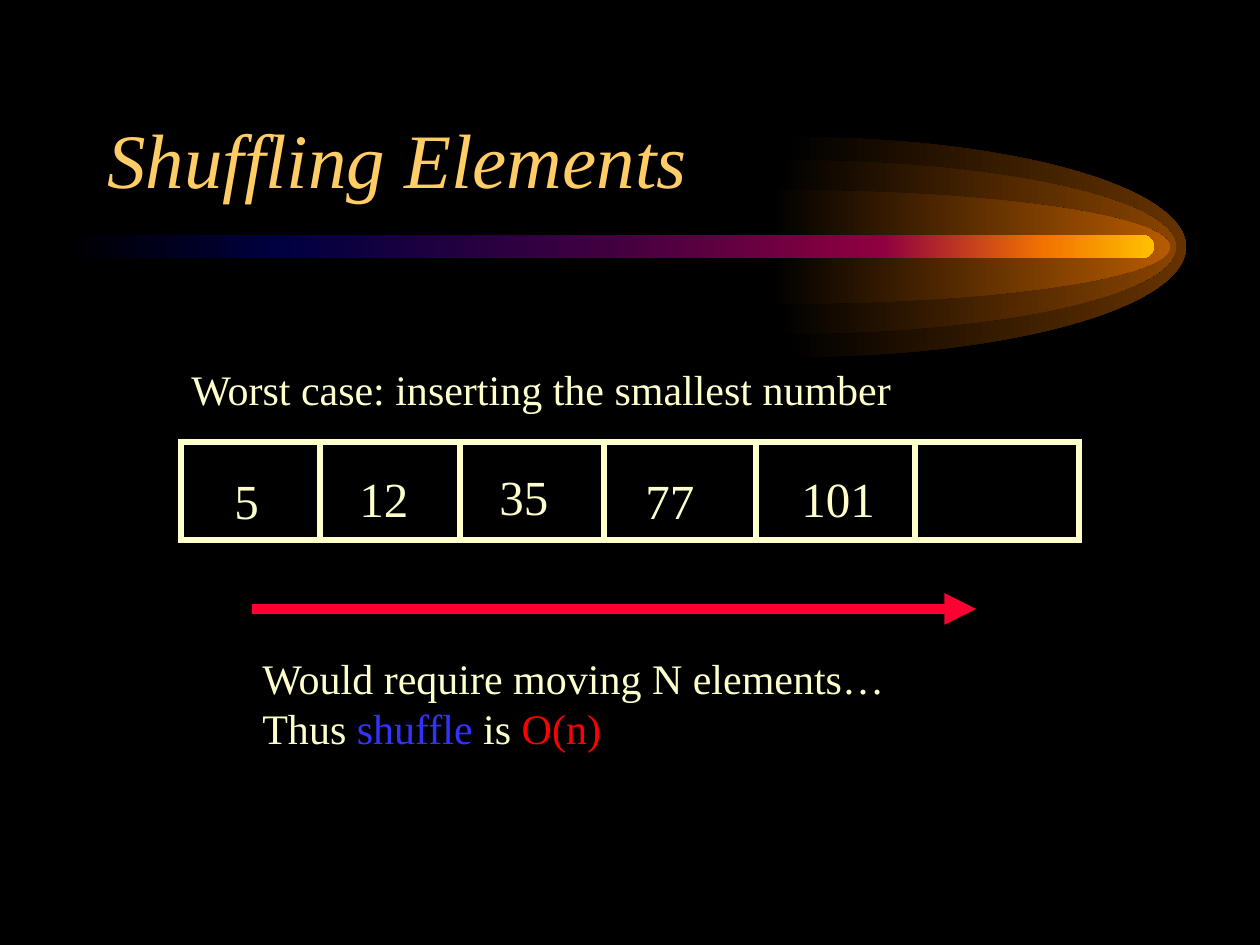
from lxml import etree
from pptx import Presentation
from pptx.dml.color import RGBColor
from pptx.enum.shapes import MSO_CONNECTOR, MSO_SHAPE
from pptx.enum.text import MSO_ANCHOR, MSO_AUTO_SIZE
from pptx.oxml.ns import qn
from pptx.util import Emu, Pt

PX = 914400 / 126
STRAIGHT = MSO_CONNECTOR.STRAIGHT
RECT, ROUND = MSO_SHAPE.RECTANGLE, MSO_SHAPE.ROUNDED_RECTANGLE
TOP, BOTTOM = MSO_ANCHOR.TOP, MSO_ANCHOR.BOTTOM
FIT, NO_FIT = MSO_AUTO_SIZE.SHAPE_TO_FIT_TEXT, MSO_AUTO_SIZE.NONE
BLACK = RGBColor(0x00, 0x00, 0x00)
CREAM = RGBColor(0xFF, 0xFF, 0xCC)
GOLD = RGBColor(0xFF, 0xCC, 0x66)
CRIMSON = RGBColor(0xFF, 0x00, 0x33)
BLUE = RGBColor(0x33, 0x33, 0xFF)
RED = RGBColor(0xFF, 0x00, 0x00)
GLOWS = [
    (786, 110, RGBColor(0x66, 0x33, 0x00)),
    (776, 87, RGBColor(0x89, 0x44, 0x00)),
    (770, 57, RGBColor(0xB7, 0x5B, 0x00)),
]
BAR_STOPS = [
    (0, BLACK),
    (20, RGBColor(0x00, 0x00, 0x40)),
    (50, RGBColor(0x40, 0x00, 0x40)),
    (75, RGBColor(0x8F, 0x00, 0x40)),
    (90, RGBColor(0xF2, 0x73, 0x00)),
    (100, RGBColor(0xFF, 0xBF, 0x00)),
]
ARC = [(0.55, -1), (1, -0.55), (1, 0), (1, 0.55), (0.55, 1), (0, 1)]

prs = Presentation()
prs.slide_width, prs.slide_height = Emu(round(1260 * PX)), Emu(round(945 * PX))
s = prs.slides.add_slide(prs.slide_layouts[6])
s.background.fill.solid()
s.background.fill.fore_color.rgb = BLACK


def px(*lengths):
    return [Emu(round(v * PX)) for v in lengths]


def add_text(box, paragraphs, size, anchor=TOP, fit=FIT, wrap=False, italic=False):
    tf = s.shapes.add_textbox(*px(*box)).text_frame
    frame = {"word_wrap": wrap, "auto_size": fit, "vertical_anchor": anchor}
    for name, value in frame.items():
        setattr(tf, name, value)
    for i, runs in enumerate(paragraphs):
        p = tf.add_paragraph() if i else tf.paragraphs[0]
        for text, color in runs:
            r = p.add_run()
            r.text = text
            font = {"name": "Times New Roman", "size": Pt(size), "italic": italic}
            for name, value in font.items():
                setattr(r.font, name, value)
            r.font.color.rgb = color


comet = []
for left, ry, color in GLOWS:
    points = [px(left + 6 + 394 * dx, 247 + ry * dy) for dx, dy in ARC]
    fb = s.shapes.build_freeform(*px(left + 6, 247 - ry))
    fb.add_line_segments(points + [px(left, 247 + ry), px(left + 6, 247)], close=True)
    sp = fb.convert_to_shape()
    outline = next(sp.element.iter(qn("a:path")))
    segments = outline.findall(qn("a:lnTo"))
    for i in (0, 3):
        curve = etree.Element(qn("a:cubicBezTo"))
        segments[i].addprevious(curve)
        for segment in segments[i:i + 3]:
            curve.append(segment[0])
            outline.remove(segment)
    comet.append((sp, [(0, BLACK), (100, color)]))
bar = s.shapes.add_shape(ROUND, *px(63, 235, 1091, 23))
bar.adjustments[0] = 0.5
comet.append((bar, BAR_STOPS))

for sp, stops in comet:
    sp.shadow.inherit = False
    sp.line.fill.background()
    sp.fill.gradient()
    sp.fill.gradient_angle = 0
    gs_list = sp.element.spPr.find(qn("a:gradFill")).find(qn("a:gsLst"))
    gs_list.clear()
    for position, color in stops:
        gs = etree.SubElement(gs_list, qn("a:gs"), pos=str(position * 1000))
        etree.SubElement(gs, qn("a:srgbClr"), val=str(color))

add_text((95, 52, 1071, 158), [[("Shuffling Elements", GOLD)]], 44,
         anchor=BOTTOM, fit=NO_FIT, wrap=True, italic=True)

frame = s.shapes.add_shape(RECT, *px(181, 442, 898, 98))
frame.shadow.inherit = False
frame.fill.background()
frame.line.color.rgb = CREAM
frame.line.width = Pt(3)
etree.SubElement(frame.line._get_or_add_ln(), qn("a:miter"), lim="800000")

lines = [(x, 441, x, 540, CREAM, 3) for x in (320, 460, 604, 756, 915)]
lines.append((252, 609, 976, 609, CRIMSON, 6))
for x1, y1, x2, y2, color, width in lines:
    line = s.shapes.add_connector(STRAIGHT, *px(x1, y1, x2, y2))
    line.line.color.rgb = color
    line.line.width = Pt(width)
    etree.SubElement(line.element.spPr, qn("a:effectLst"))
etree.SubElement(line.line._get_or_add_ln(), qn("a:tailEnd"), type="triangle")

numbers = [("5", 222, 464, 50), ("12", 347, 462, 76), ("35", 487, 460, 76),
           ("77", 633, 464, 76), ("101", 789, 462, 100)]
for number, x, y, width in numbers:
    add_text((x, y, width, 72), [[(number, CREAM)]], 28)

add_text((179, 357, 731, 63), [[("Worst case: inserting the smallest number", CREAM)]], 24)
add_text((250, 646, 653, 115), [
    [("Would require moving N elements…", CREAM)],
    [("Thus ", CREAM), ("shuffle ", BLUE), ("is ", CREAM), ("O(n)", RED)],
], 24)

prs.save("out.pptx")
